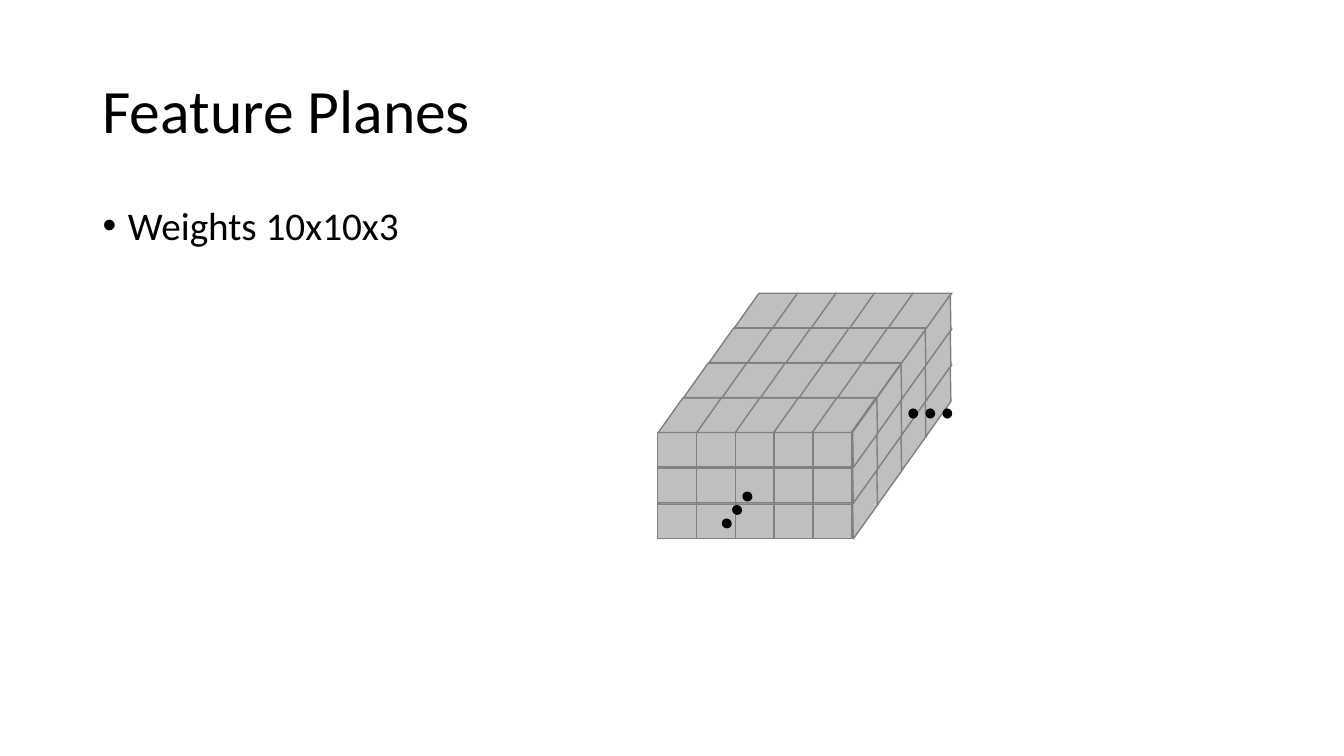
import pptx
import pptx.util
import pptx.dml.color
import pptx.enum.shapes
import pptx.enum.text
import pptx.oxml
import pptx.oxml.ns

Cm = pptx.util.Cm
Pt = pptx.util.Pt
SHAPE = pptx.enum.shapes.MSO_SHAPE

COLOURS = {"cell": "BFBFBF", "edge": "808080", "ink": "000000"}
LAYERS, ROWS, COLUMNS = 3, 4, 5
LAYER_RISE = 0.9


def colour(name):
    return pptx.dml.color.RGBColor.from_string(COLOURS[name])


def add_block(group, kind, left, top, width, height, fill, line, rotation=0):
    block = group.shapes.add_shape(kind, Cm(left), Cm(top), Cm(width), Cm(height))
    block.rotation = rotation
    block.shadow.inherit = False
    block.fill.solid()
    block.fill.fore_color.rgb = colour(fill)
    block.line.color.rgb = colour(line)
    block.line.width = Pt(1)
    return block


def add_cell(group, kind, left, top, width, height, slant=None, rotation=0):
    cell = add_block(group, kind, left, top, width, height, "cell", "edge", rotation)
    if slant is not None:
        cell.adjustments[0] = slant


def add_layer(group, rise):
    for column in range(COLUMNS):
        add_cell(group, SHAPE.RECTANGLE, 16.57 + 0.98 * column, 12.7 - rise, 0.98, 0.87)
    for row in range(ROWS):
        for column in range(COLUMNS):
            add_cell(group, SHAPE.PARALLELOGRAM, 16.59 + 0.64 * row + 0.97 * column,
                     11.83 - 0.88 * row - rise, 1.6, 0.87, slant=0.71)
    for row in range(ROWS):
        add_cell(group, SHAPE.PARALLELOGRAM, 20.91 + 0.61 * row,
                 12.43 - 0.86 * row - rise, 1.8, 0.53, slant=1.35, rotation=125.6)


def add_dots(page, left, top, step_x, step_y, rotation=0):
    group = page.shapes.add_group_shape()
    for index in range(3):
        add_block(group, SHAPE.OVAL, left + step_x * index, top + step_y * index,
                  0.21, 0.22, "ink", "ink", rotation)


def fill_placeholder(box, place, text, size, anchor):
    box.left, box.top, box.width, box.height = (Cm(length) for length in place)
    frame = box.text_frame
    frame.text = text
    frame.word_wrap = True
    frame.auto_size = pptx.enum.text.MSO_AUTO_SIZE.NONE
    frame.vertical_anchor = anchor
    para = frame.paragraphs[0]
    para.alignment = pptx.enum.text.PP_ALIGN.LEFT
    para.line_spacing = 0.9
    para.space_before = Pt(0)
    span = para.runs[0]
    span.font.name = "Calibri"
    span.font.size = Pt(size)
    span.font.color.rgb = colour("ink")
    return para


def add_bullet(para):
    properties = para._p.get_or_add_pPr()
    properties.set("marL", str(Cm(0.64)))
    properties.set("indent", str(-Cm(0.64)))
    namespace = pptx.oxml.ns.nsdecls("a")
    for element in (f'<a:buFont {namespace} typeface="Arial"/>',
                    f'<a:buChar {namespace} char="•"/>'):
        properties.append(pptx.oxml.parse_xml(element))


def main():
    deck = pptx.Presentation()
    deck.slide_width, deck.slide_height = Cm(33.87), Cm(19.05)
    page = deck.slides.add_slide(deck.slide_layouts[1])
    anchors = pptx.enum.text.MSO_ANCHOR
    fill_placeholder(page.shapes.title, (2.33, 1.01, 29.21, 3.68),
                     "Feature Planes", 44, anchors.MIDDLE)
    add_bullet(fill_placeholder(page.placeholders[1], (2.33, 5.07, 29.21, 12.09),
                                "Weights 10x10x3", 28, anchors.TOP))
    cuboid = page.shapes.add_group_shape()
    for layer in range(LAYERS):
        add_layer(cuboid, LAYER_RISE * layer)
    add_dots(page, 22.91, 10.31, 0.43, 0)
    add_dots(page, 18.21, 13.08, 0.26, -0.34, rotation=308.6)
    deck.save("out.pptx")


if __name__ == "__main__":
    main()
